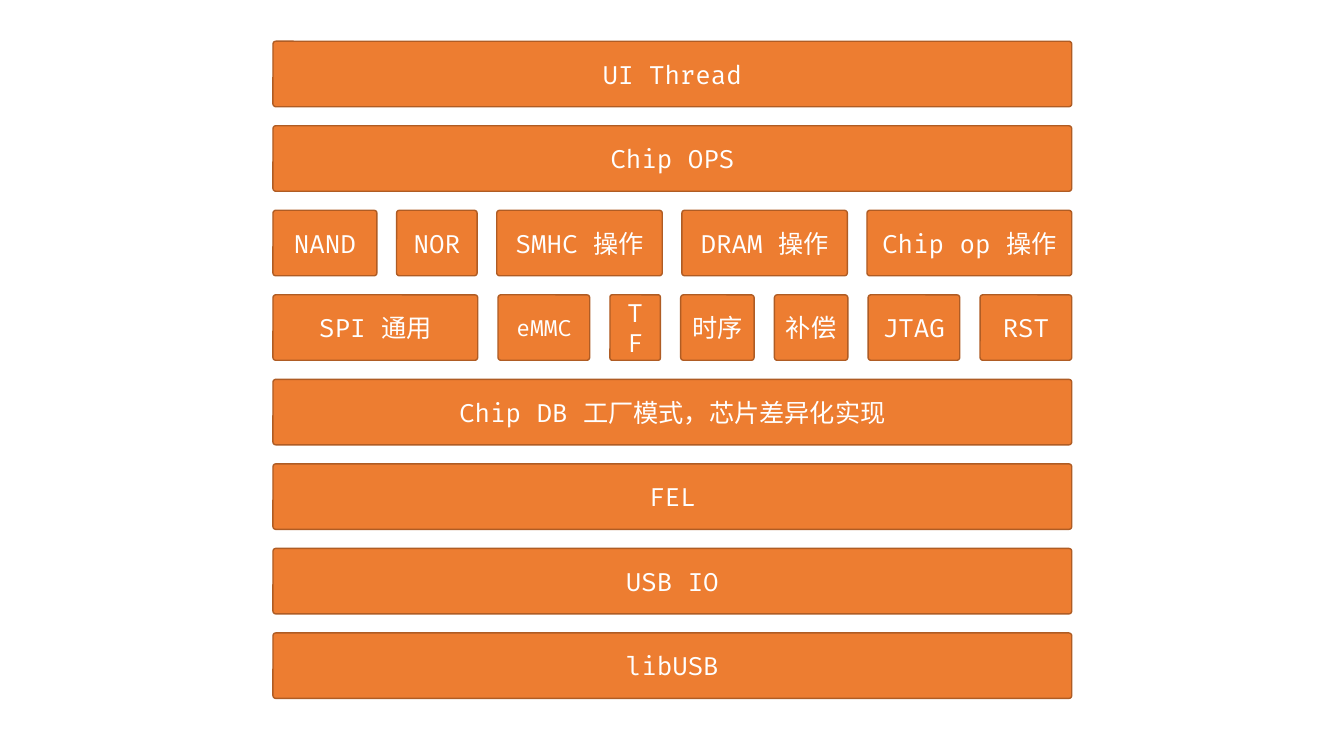
from pptx import Presentation
from pptx.dml.color import RGBColor
from pptx.enum import shapes, text
from pptx.util import Cm, Pt

LAYERS = [
    [("UI Thread", 20.13)],
    [("Chip OPS", 20.13)],
    [("NAND", 2.62), ("NOR", 2.03), ("SMHC 操作", 4.17), ("DRAM 操作", 4.17),
     ("Chip op 操作", 5.16)],
    [("SPI 通用", 5.16), ("eMMC", 2.31), ("TF", 1.27), ("时序", 1.85),
     ("补偿", 1.85), ("JTAG", 2.31), ("RST", 2.31)],
    [("Chip DB 工厂模式，芯片差异化实现", 20.13)],
    [("FEL", 20.13)],
    [("USB IO", 20.13)],
    [("libUSB", 20.13)],
]
SMALL_LABELS = {"eMMC": 16}
FONT = "Fira Code"
ORANGE = RGBColor(0xED, 0x7D, 0x31)
BROWN = RGBColor(0xAF, 0x5C, 0x24)
WHITE = RGBColor(0xFF, 0xFF, 0xFF)
LEFT, TOP, WIDTH, HEIGHT, PITCH = 6.88, 1.04, 20.13, 1.65, 2.13


def add_block(s, label, x, y, width):
    sp = s.shapes.add_shape(shapes.MSO_SHAPE.ROUNDED_RECTANGLE,
                            Cm(x), Cm(y), Cm(width), Cm(HEIGHT))
    sp.adjustments[0] = 0.043
    sp.shadow.inherit = False
    sp.fill.solid()
    sp.fill.fore_color.rgb = ORANGE
    sp.line.color.rgb = BROWN
    sp.line.width = Pt(1)
    tf = sp.text_frame
    tf.text = label
    tf.word_wrap = True
    tf.vertical_anchor = text.MSO_ANCHOR.MIDDLE
    p = tf.paragraphs[0]
    p.alignment = text.PP_ALIGN.CENTER
    font = p.runs[0].font
    font.name = FONT
    font.size = Pt(SMALL_LABELS.get(label, 18))
    font.color.rgb = WHITE


def main():
    prs = Presentation()
    prs.slide_width, prs.slide_height = Cm(33.87), Cm(19.05)
    s = prs.slides.add_slide(prs.slide_layouts[6])
    for row, layer in enumerate(LAYERS):
        used = sum(width for _, width in layer)
        gap = (WIDTH - used) / max(len(layer) - 1, 1)
        x = LEFT
        for label, width in layer:
            add_block(s, label, x, TOP + row * PITCH, width)
            x += width + gap
    prs.save("out.pptx")


if __name__ == "__main__":
    main()
